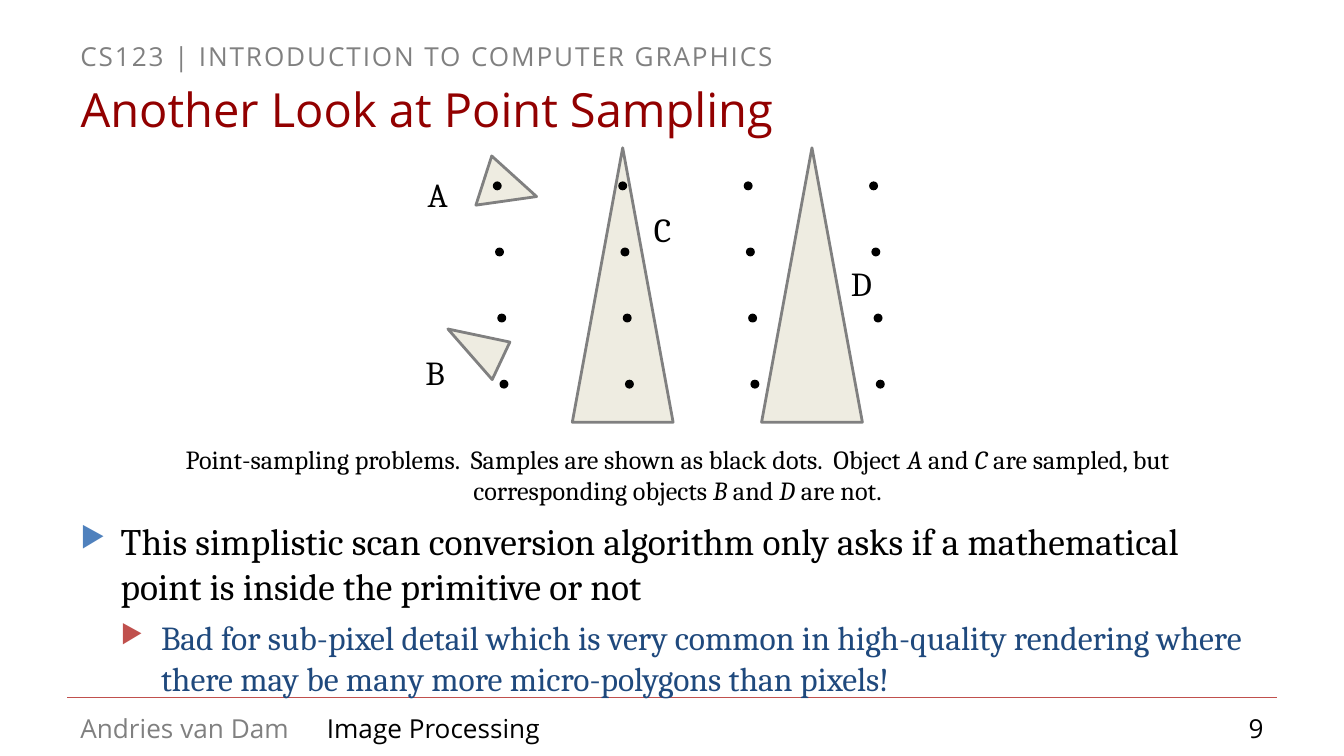
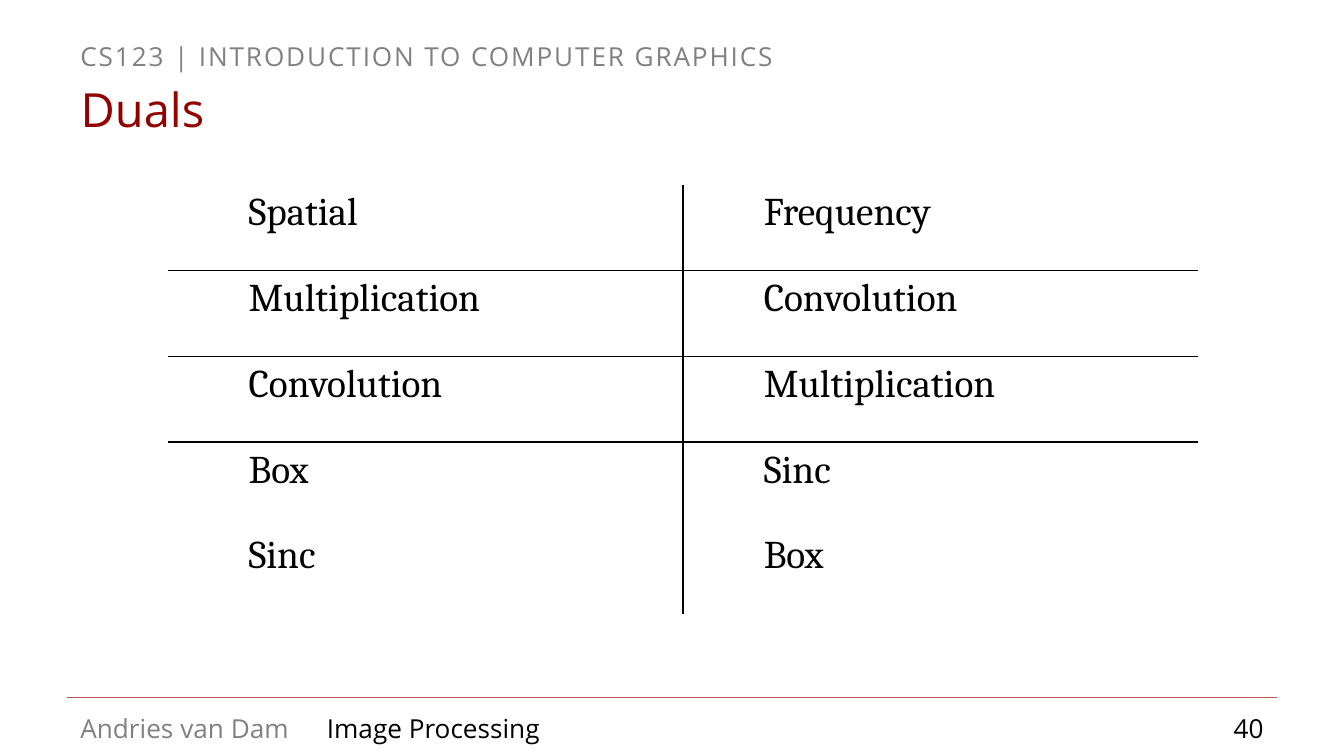
"""Build two lecture slides: point sampling problems and a table of duals."""
from dataclasses import dataclass
from lxml.etree import SubElement as Sub
from pptx import Presentation
from pptx.dml.color import RGBColor as RGB
from pptx.enum.shapes import MSO_CONNECTOR as Link, MSO_SHAPE as Form
from pptx.enum.text import MSO_ANCHOR as Anchor, MSO_AUTO_SIZE as Fit, PP_ALIGN as Align
from pptx.oxml.ns import qn
from pptx.util import Pt


@dataclass(frozen=True)
class Theme:
    sans: str = "Open Sans"
    serif: str = "Cambria"
    white: str = "FFFFFF"
    black: str = "000000"
    gray: str = "808080"
    red: str = "920000"
    rule: str = "C0504D"
    blue: str = "4F81BD"
    navy: str = "1F497D"
    cream: str = "EEECE1"
    title: float = 25.2
    cell: float = 21
    body: float = 20
    sub: float = 18
    small: float = 14


PX = 7620
T = Theme()


def style(para, size, font, color, align=Align.LEFT):
    para.alignment = align
    for run in para.runs:
        run.font.size = Pt(size)
        run.font.name = font
        run.font.color.rgb = RGB.from_string(color)


def write(slide, box, text, size, font, color, align=Align.LEFT, wrap=True):
    shape = slide.shapes.add_textbox(*[n * PX for n in box])
    frame = shape.text_frame
    frame.word_wrap = wrap
    frame.text = text
    for para in frame.paragraphs:
        style(para, size, font, color, align)
    return shape


deck = Presentation()
deck.slide_width, deck.slide_height = 1200 * PX, 675 * PX

pages = []
for name, num in (("Another Look at Point Sampling", "9"), ("Duals", "40")):
    slide = deck.slides.add_slide(deck.slide_layouts[5])
    pages.append(slide)

    head = write(slide, (60, 30, 1080, 30), "CS123 | INTRODUCTION TO COMPUTER GRAPHICS",
                 T.small, T.sans, T.gray)
    head.fill.solid()
    head.fill.fore_color.rgb = RGB.from_string(T.white)
    head.text_frame.paragraphs[0].runs[0].font._element.set("spc", "100")

    title = slide.shapes.title
    title.left, title.top, title.width, title.height = 60 * PX, 67 * PX, 1080 * PX, 60 * PX
    title.text_frame.text = name
    title.text_frame.auto_size = Fit.NONE
    title.text_frame.vertical_anchor = Anchor.MIDDLE
    style(title.text_frame.paragraphs[0], T.title, T.sans, T.red)

    rule = slide.shapes.add_connector(Link.STRAIGHT, 60 * PX, 623 * PX, 1140 * PX, 623 * PX)
    rule.line.color.rgb = RGB.from_string(T.rule)
    rule.line.width = Pt(0.75)
    Sub(rule._element.spPr, qn("a:effectLst"))

    write(slide, (60, 630, 230, 41), "Andries van Dam", T.small, T.sans, T.gray)
    write(slide, (280, 630, 690, 31), "Image Processing", T.small, T.sans, T.black)
    write(slide, (980, 630, 160, 31), num, T.small, T.sans, T.black, Align.RIGHT)

look, duals = pages

points = (
    "This simplistic scan conversion algorithm only asks if a mathematical point is inside "
    "the primitive or not",
    "Bad for sub-pixel detail which is very common in high-quality rendering where there may "
    "be many more micro-polygons than pixels!",
)
body = write(look, (60, 457, 1080, 157), "\n".join(points), T.body, T.serif, T.black)
looks = ((T.body, T.black, T.blue, 6), (T.sub, T.navy, T.rule, 5))
for rank, (para, (size, color, mark, gap)) in enumerate(zip(body.text_frame.paragraphs, looks)):
    style(para, size, T.serif, color)
    para.level = rank
    para.space_before = Pt(gap)
    props = para._p.get_or_add_pPr()
    props.set("marL", str(36 * (rank + 1) * PX))
    props.set("indent", str(-36 * PX))
    Sub(Sub(props, qn("a:buClr")), qn("a:srgbClr"), val=mark)
    Sub(props, qn("a:buSzPct"), val="76000")
    Sub(props, qn("a:buChar"), char="▶")

note = write(look, (140, 390, 930, 68), "", T.small, T.serif, T.black)
para = note.text_frame.paragraphs[0]
parts = (
    "Point-sampling problems.  Samples are shown as black dots.  Object ", "A", " and ", "C",
    " are sampled, but corresponding objects ", "B", " and ", "D ", "are not.",
)
for pos, part in enumerate(parts):
    run = para.add_run()
    run.text = part
    run.font.italic = pos % 2 == 1
style(para, T.small, T.serif, T.black, Align.CENTER)

for box, turn, peak in (
    ((511, 132, 90, 245), 0, 0.5),
    ((680, 132, 90, 245), 0, 0.5),
    ((418, 152, 54, 42), 222.1, 0.65),
    ((404, 283, 37, 55), 295.2, 0.65),
):
    tri = look.shapes.add_shape(Form.ISOSCELES_TRIANGLE, *[n * PX for n in box])
    tri.adjustments[0] = peak
    tri.rotation = turn
    tri.shadow.inherit = False
    tri.fill.solid()
    tri.fill.fore_color.rgb = RGB.from_string(T.cream)
    tri.line.color.rgb = RGB.from_string(T.gray)
    tri.line.width = Pt(1.5)

for row in range(4):
    for col in range(4):
        left, top = 440 + 112 * col + 2 * row, 162 + 59 * row
        dot = look.shapes.add_shape(Form.OVAL, left * PX, top * PX, 8 * PX, 8 * PX)
        dot.shadow.inherit = False
        dot.fill.solid()
        dot.fill.fore_color.rgb = RGB.from_string(T.black)
        dot.line.fill.background()

for tag, left, top in (("A", 370, 149), ("B", 368, 308), ("C", 572, 181), ("D", 748, 229)):
    write(look, (left, top, 43, 48), tag, T.sub, T.serif, T.black, wrap=False)

pairs = (
    ("Spatial", "Frequency"),
    ("Multiplication", "Convolution"),
    ("Convolution", "Multiplication"),
    ("Box", "Sinc"),
    ("Sinc", "Box"),
)
grid = duals.shapes.add_table(5, 2, 150 * PX, 165 * PX, 920 * PX, 383 * PX).table
grid.first_row = grid.horz_banding = False
grid._tbl.tblPr.find(qn("a:tableStyleId")).text = "{2D5ABB26-0587-4C30-8999-92F81FD0307C}"
for row, pair in enumerate(pairs):
    for col, word in enumerate(pair):
        cell = grid.cell(row, col)
        cell.text_frame.text = word
        cell.margin_top = cell.margin_bottom = 5 * PX
        para = cell.text_frame.paragraphs[0]
        style(para, T.cell, T.serif, T.black)
        para._p.get_or_add_pPr().set("marL", str(60 * PX))
        sides = ["lnR" if col == 0 else "lnL"]
        if row in (1, 2):
            sides.append("lnT")
        if row in (0, 1):
            sides.append("lnB")
        for side in sides:
            edge = Sub(cell._tc.get_or_add_tcPr(), qn("a:" + side), w=str(Pt(1)))
            Sub(Sub(edge, qn("a:solidFill")), qn("a:srgbClr"), val=T.black)
        cell.fill.background()

deck.save("out.pptx")
